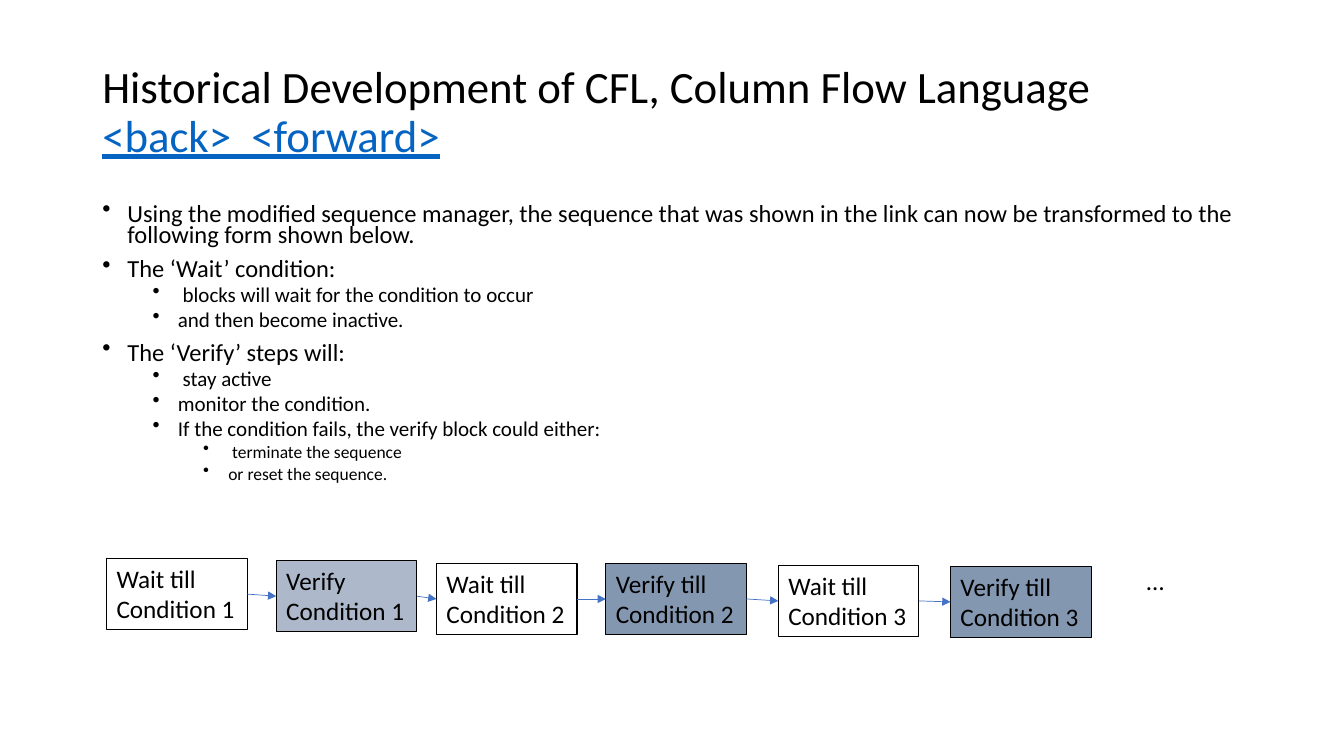
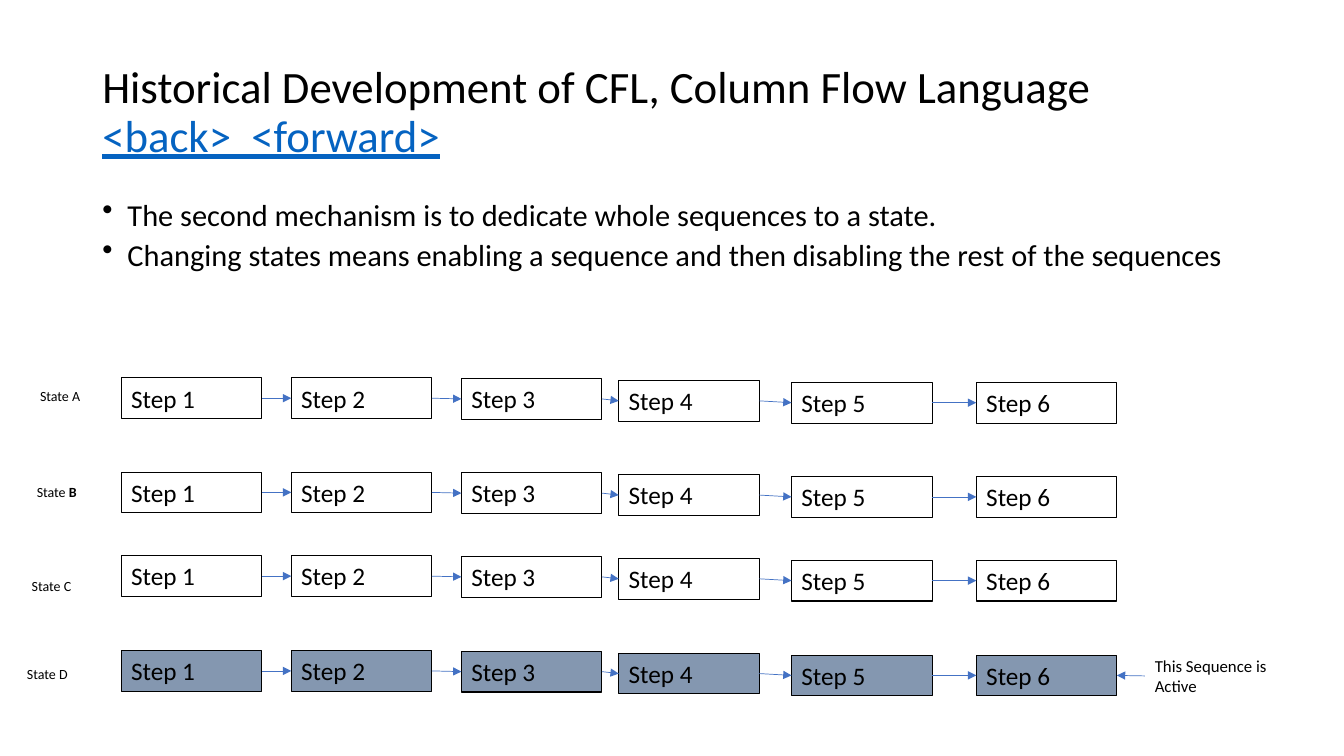
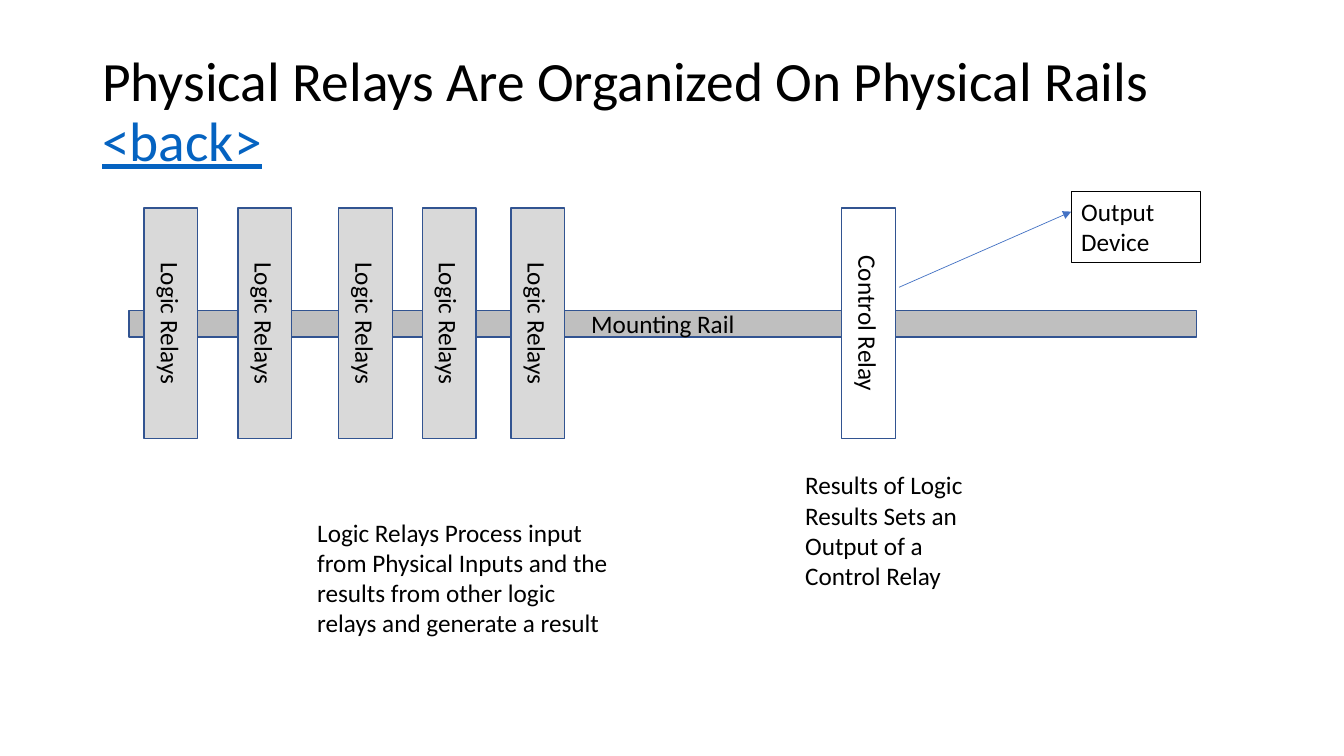
"""Builds three slides on Column Flow Language sequences and relay rails."""
from dataclasses import dataclass
from itertools import pairwise
from typing import Any, NamedTuple, Optional

import pptx
from lxml import etree
from pptx import util as u
from pptx.dml import color
from pptx.enum import shapes, text
from pptx.oxml import ns

TOP, LEFT, BOTTOM, RIGHT = range(4)


@dataclass(frozen=True)
class Theme:
    font: str = "Calibri"
    ink: str = "000000"
    paper: str = "FFFFFF"
    link: str = "0563C1"
    arrow: str = "4472C4"
    active: str = "8497B0"
    verify: str = "ADB9CA"
    rail: str = "BFBFBF"
    relay: str = "D9D9D9"
    relay_edge: str = "325491"
    title_size: float = 32
    large_title_size: float = 39.6
    text_size: float = 18
    note_size: float = 12
    state_size: float = 10
    box_line: float = 0.75
    relay_line: float = 1
    arrow_line: float = 0.5


THEME = Theme()


class Area(NamedTuple):
    left: float
    top: float
    width: float
    height: float

    def lengths(self) -> list[u.Length]:
        return [u.Pt(value) for value in self]


class Bullet(NamedTuple):
    level: int
    words: str


class Condition(NamedTuple):
    words: str
    left: float
    top: float
    fill: str


class Step(NamedTuple):
    left: float
    drop: float


class State(NamedTuple):
    letter: str
    top: float
    label_left: float
    label_top: float
    fill: str = THEME.paper
    bold: bool = False


TITLE_AREA = Area(66, 28.75, 828, 104.4)
CFL_TITLE = "Historical Development of CFL, Column Flow Language"

WAIT_VERIFY = [
    Bullet(0, "Using the modified sequence manager, the sequence that was shown in the link "
              "can now be transformed to the following form shown below."),
    Bullet(0, "The ‘Wait’ condition:"),
    Bullet(1, " blocks will wait for the condition to occur"),
    Bullet(1, "and then become inactive."),
    Bullet(0, "The ‘Verify’ steps will:"),
    Bullet(1, " stay active"),
    Bullet(1, "monitor the condition."),
    Bullet(1, "If the condition fails, the verify block could either:"),
    Bullet(2, " terminate the sequence"),
    Bullet(2, "or reset the sequence."),
]
CONDITIONS = [
    Condition("Wait till\nCondition 1", 76.2, 398.9, THEME.paper),
    Condition("Verify\nCondition 1", 197.4, 400.4, THEME.verify),
    Condition("Wait till\nCondition 2", 311.8, 402.4, THEME.paper),
    Condition("Verify till\nCondition 2", 432.8, 402.4, THEME.active),
    Condition("Wait till\nCondition 3", 556, 403.8, THEME.paper),
    Condition("Verify till\nCondition 3", 679, 404.5, THEME.active),
]
STATE_BULLETS = [
    Bullet(0, "The second mechanism is to dedicate whole sequences to a state."),
    Bullet(0, "Changing states means enabling a sequence and then disabling "
              "the rest of the sequences"),
]
STEPS = [Step(86.6, 0), Step(208.1, 0), Step(329.6, 0.5),
         Step(442, 1.9), Step(565.4, 3.2), Step(697.4, 3.2)]
STATES = [
    State("A", 269.9, 21.5, 273),
    State("B", 337.2, 19.2, 342, bold=True),
    State("C", 397, 15.6, 409),
    State("D", 464.7, 12.2, 471.6, fill=THEME.active),
]
LOGIC_RELAY_LEFTS = [39.6, 106.6, 178.6, 238.3, 301.7]
CONTROL_RELAY_LEFT = 537.8


def style(run: Any, size: float, ink: str = THEME.ink) -> None:
    run.font.name = THEME.font
    run.font.size = u.Pt(size)
    run.font.color.rgb = color.RGBColor.from_string(ink)


def write(shape: Any, words: str, size: float, centred: bool = False, grow: bool = True) -> None:
    frame = shape.text_frame
    frame.text = words
    frame.word_wrap = True
    frame.vertical_anchor = text.MSO_ANCHOR.MIDDLE if centred else text.MSO_ANCHOR.TOP
    if grow:
        frame.auto_size = text.MSO_AUTO_SIZE.SHAPE_TO_FIT_TEXT
    for paragraph in frame.paragraphs:
        paragraph.alignment = text.PP_ALIGN.CENTER if centred else text.PP_ALIGN.LEFT
        for run in paragraph.runs:
            style(run, size)


def note(slide: Any, area: Area, words: str, size: float = THEME.text_size) -> Any:
    label = slide.shapes.add_textbox(*area.lengths())
    write(label, words, size)
    return label


def title(slide: Any, heading: str, links: str, size: float = THEME.title_size) -> None:
    headline = slide.shapes.add_textbox(*TITLE_AREA.lengths())
    write(headline, f"{heading}\v{links}", size, grow=False)
    headline.text_frame.vertical_anchor = text.MSO_ANCHOR.MIDDLE
    paragraph = headline.text_frame.paragraphs[0]
    paragraph.line_spacing = 0.9
    navigation = paragraph.runs[-1]
    style(navigation, size, THEME.link)
    navigation.font.underline = True


def bullet_list(slide: Any, height: float, bullets: list[Bullet], sizes: list[float]) -> None:
    body = slide.shapes.add_textbox(*Area(66, 143.75, 828, height).lengths())
    write(body, "\n".join(bullet.words for bullet in bullets), sizes[0], grow=False)
    for index, (bullet, paragraph) in enumerate(zip(bullets, body.text_frame.paragraphs)):
        properties = paragraph._p.get_or_add_pPr()
        properties.set("marL", str(u.Pt(18 + 36 * bullet.level)))
        properties.set("indent", str(u.Pt(-18)))
        etree.SubElement(properties, ns.qn("a:buChar")).set("char", "•")
        paragraph.level = bullet.level
        paragraph.line_spacing = 0.7
        if index:
            paragraph.space_before = u.Pt(5 if bullet.level else 10)
        style(paragraph.runs[0], sizes[bullet.level])


def box(slide: Any, area: Area, words: str, fill: str = THEME.paper, edge: str = THEME.ink,
        weight: float = THEME.box_line, centred: bool = False) -> Any:
    block = slide.shapes.add_shape(shapes.MSO_SHAPE.RECTANGLE, *area.lengths())
    block.shadow.inherit = False
    block.fill.solid()
    block.fill.fore_color.rgb = color.RGBColor.from_string(fill)
    block.line.color.rgb = color.RGBColor.from_string(edge)
    block.line.width = u.Pt(weight)
    write(block, words, THEME.text_size, centred, grow=not centred)
    return block


def arrow(slide: Any, x1: float = 0, y1: float = 0, x2: float = 0, y2: float = 0) -> Any:
    pointer = slide.shapes.add_connector(
        shapes.MSO_CONNECTOR.STRAIGHT, u.Pt(x1), u.Pt(y1), u.Pt(x2), u.Pt(y2))
    pointer.line.color.rgb = color.RGBColor.from_string(THEME.arrow)
    pointer.line.width = u.Pt(THEME.arrow_line)
    outline = pointer.line._get_or_add_ln()
    etree.SubElement(outline, ns.qn("a:tailEnd")).set("type", "triangle")
    etree.SubElement(pointer._element.spPr, ns.qn("a:effectLst"))
    return pointer


def join(slide: Any, source: Any, target: Any, leave: int = RIGHT, enter: int = LEFT) -> None:
    pointer = arrow(slide)
    pointer.begin_connect(source, leave)
    pointer.end_connect(target, enter)


def chain(slide: Any, blocks: list[Any]) -> None:
    for source, target in pairwise(blocks):
        join(slide, source, target)


def state_row(slide: Any, state: State) -> Any:
    steps = [box(slide, Area(step.left, state.top + step.drop, 100.4, 29.1),
                 f"Step {number}", state.fill)
             for number, step in enumerate(STEPS, 1)]
    chain(slide, steps)
    label = note(slide, Area(state.label_left, state.label_top, 46, 19.4),
                 "State ", THEME.state_size)
    letter = label.text_frame.paragraphs[0].add_run()
    letter.text = state.letter
    style(letter, THEME.state_size)
    if state.bold:
        letter.font.bold = True
    return steps[-1]


def relay(slide: Any, left: float, words: str, fill: str) -> None:
    block = box(slide, Area(left, 211.8, 164.9, 38.4), words, fill,
                THEME.relay_edge, THEME.relay_line, centred=True)
    block.rotation = 90


def conditions_slide(slide: Any) -> None:
    title(slide, CFL_TITLE, "<back>  <forward>")
    bullet_list(slide, 220.3, WAIT_VERIFY, [17.5, 15, 12.5])
    chain(slide, [box(slide, Area(item.left, item.top, 100.4, 50.9), item.words, item.fill)
                  for item in CONDITIONS])
    box(slide, Area(812, 400.3, 100.4, 29.1), "…", edge=THEME.paper)


def states_slide(slide: Any) -> None:
    title(slide, CFL_TITLE, "<back>  <forward>")
    bullet_list(slide, 72, STATE_BULLETS, [21.7])
    last_step: Optional[Any] = None
    for state in STATES:
        last_step = state_row(slide, state)
    active_note = note(slide, Area(817.8, 464.6, 94.3, 36.4),
                       "This Sequence is Active", THEME.note_size)
    join(slide, active_note, last_step, LEFT, RIGHT)


def relays_slide(slide: Any) -> None:
    title(slide, "Physical Relays Are Organized On Physical Rails", "<back>",
          THEME.large_title_size)
    box(slide, Area(92.2, 221.8, 762.5, 18.8), "Mounting Rail", THEME.rail,
        THEME.relay_edge, THEME.relay_line, centred=True)
    for left in LOGIC_RELAY_LEFTS:
        relay(slide, left, "Logic Relays", THEME.relay)
    relay(slide, CONTROL_RELAY_LEFT, "Control Relay", THEME.paper)
    box(slide, Area(765.2, 136.8, 92.2, 50.9), "Output Device")
    arrow(slide, 642.2, 205.2, 765.2, 151.2)
    note(slide, Area(219.5, 365.8, 224.6, 94.5),
         "Logic Relays Process input from Physical Inputs and the results "
         "from other logic relays and generate a result")
    note(slide, Area(568, 332, 134, 94.5),
         "Results of Logic Results Sets an Output of a Control Relay")


def main() -> None:
    deck = pptx.Presentation()
    deck.slide_width, deck.slide_height = u.Pt(960), u.Pt(540)
    for fill_slide in (conditions_slide, states_slide, relays_slide):
        fill_slide(deck.slides.add_slide(deck.slide_layouts[6]))
    deck.save("out.pptx")


if __name__ == "__main__":
    main()
